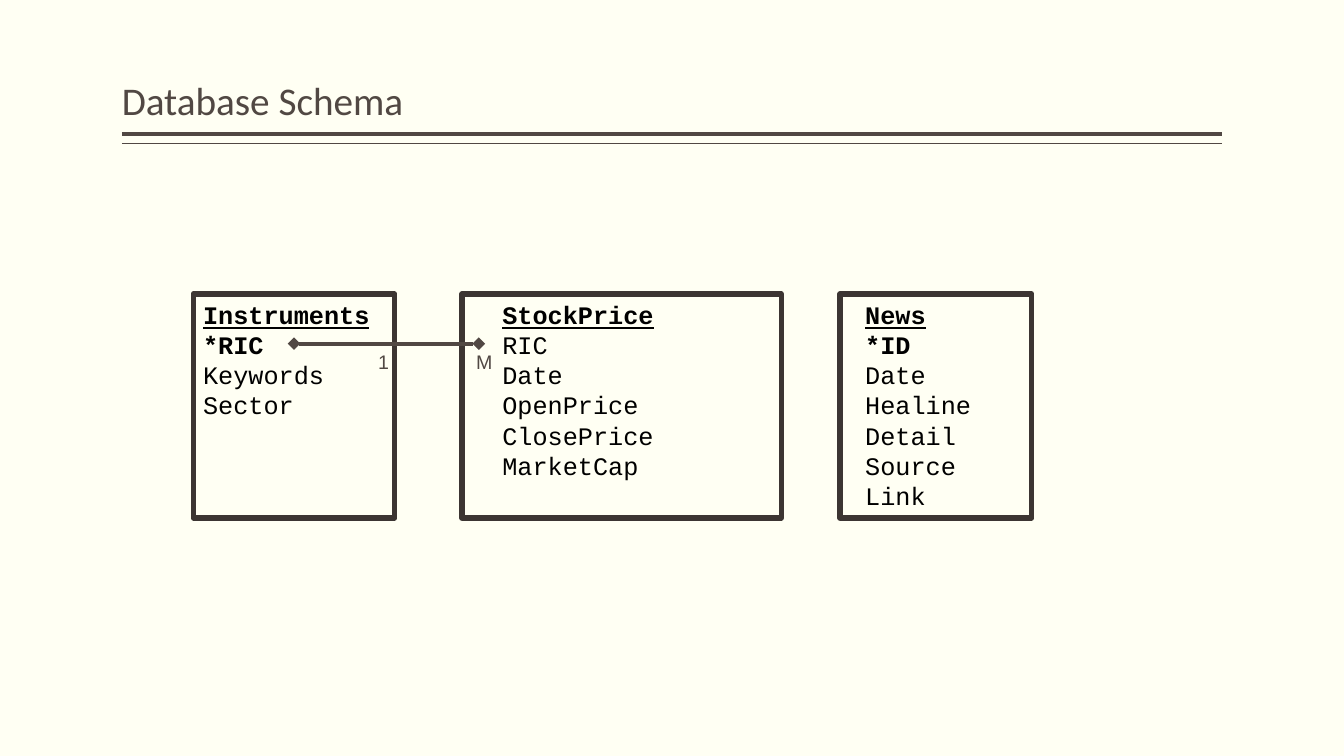
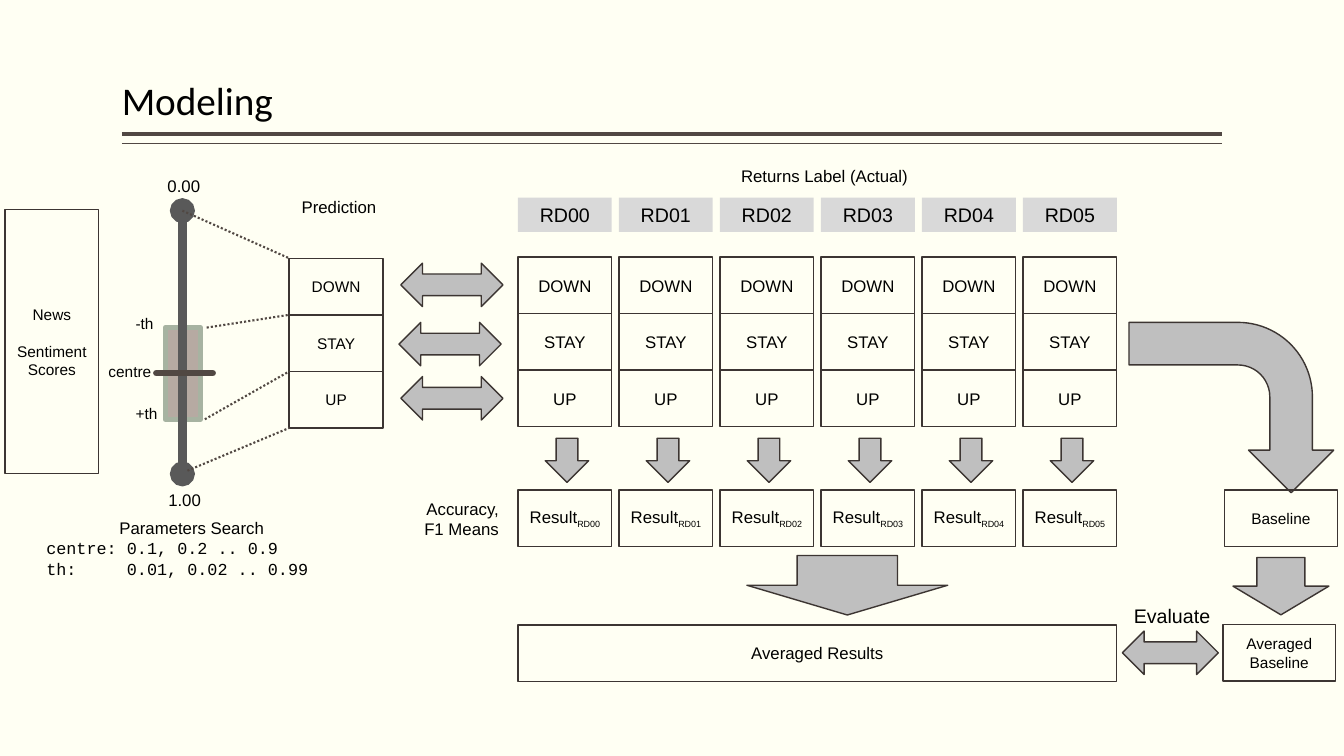
from dataclasses import dataclass

from lxml import etree
from pptx import Presentation
from pptx.dml.color import RGBColor
from pptx.enum.dml import MSO_LINE
from pptx.enum.shapes import MSO_CONNECTOR, MSO_SHAPE
from pptx.enum.text import MSO_ANCHOR, PP_ALIGN
from pptx.oxml.ns import qn
from pptx.util import Pt

RECT = MSO_SHAPE.RECTANGLE
DOWN_ARROW = MSO_SHAPE.DOWN_ARROW
TWO_WAY_ARROW = MSO_SHAPE.LEFT_RIGHT_ARROW
BENT_ARROW = MSO_SHAPE.BENT_ARROW
STRAIGHT = MSO_CONNECTOR.STRAIGHT
DOTTED = MSO_LINE.ROUND_DOT
TOP, MIDDLE, BOTTOM = MSO_ANCHOR.TOP, MSO_ANCHOR.MIDDLE, MSO_ANCHOR.BOTTOM
LEFT, CENTER, RIGHT = PP_ALIGN.LEFT, PP_ALIGN.CENTER, PP_ALIGN.RIGHT


@dataclass(frozen=True)
class Theme:
    paper: str = "FFFFF3"
    ink: str = "514843"
    outline: str = "3C3532"
    text: str = "000000"
    arrow: str = "BFBFBF"
    header: str = "D9D9D9"
    axis: str = "595959"
    band: str = "B6AAA2"
    band_edge: str = "A7B3A1"
    title_font: str = "Calibri"
    body_font: str = "Arial"
    code_font: str = "Courier New"
    title_size: float = 28
    code_size: float = 18
    large: float = 14
    normal: float = 12
    small: float = 11
    thin: float = 1
    dotted: float = 1.5
    thick: float = 3
    frame: float = 3.75
    mark: float = 4.5
    axis_width: float = 6


T = Theme()
CLASSES = ("DOWN", "STAY", "UP")
PERIODS = [f"RD{i:02d}" for i in range(6)]
CELL_W, CELL_H, PITCH = 67, 40.4, 72.15


def rgb(value):
    return RGBColor.from_string(value)


def set_values(obj, values):
    for name, value in values.items():
        setattr(obj, name, value)


def write(sp, paragraphs, size=T.normal, font=T.body_font, color=T.text,
          align=CENTER, anchor=MIDDLE, **frame):
    """Fill a shape; each paragraph is a string or a list of (text, font values)."""
    tf = sp.text_frame
    set_values(tf, {"word_wrap": True, "vertical_anchor": anchor, **frame})
    for i, runs in enumerate(paragraphs):
        p = tf.add_paragraph() if i else tf.paragraphs[0]
        p.alignment = align
        for text, values in [(runs, {})] if isinstance(runs, str) else runs:
            r = p.add_run()
            r.text = text
            set_values(r.font, {"name": font, "size": Pt(size), **values})
            r.font.color.rgb = rgb(color)
    return tf


def add_shape(slide, kind, x, y, w, h, fill=None, line=T.outline, width=T.thin):
    sp = slide.shapes.add_shape(kind, Pt(x), Pt(y), Pt(w), Pt(h))
    sp.shadow.inherit = False
    if fill:
        sp.fill.solid()
        sp.fill.fore_color.rgb = rgb(fill)
    else:
        sp.fill.background()
    if line:
        sp.line.color.rgb = rgb(line)
        sp.line.width = Pt(width)
        etree.SubElement(sp.line._get_or_add_ln(), qn("a:round"))
    else:
        sp.line.fill.background()
    return sp


def add_box(slide, x, y, w, h, paragraphs, **text):
    sp = add_shape(slide, RECT, x, y, w, h)
    write(sp, paragraphs, **text)


def add_arrow(slide, kind, x, y, w, h):
    return add_shape(slide, kind, x, y, w, h, T.arrow)


def add_label(slide, x, y, w, h, paragraphs, anchor=TOP, **text):
    sp = slide.shapes.add_textbox(Pt(x), Pt(y), Pt(w), Pt(h))
    return write(sp, paragraphs, anchor=anchor, **text)


def add_line(slide, start, end, width, color=T.ink, dash=None, tips=None, cap=None):
    sp = slide.shapes.add_connector(STRAIGHT, *map(Pt, (*start, *end)))
    sp.line.color.rgb = rgb(color)
    sp.line.width = Pt(width)
    if dash:
        sp.line.dash_style = dash
    ln = sp.line._get_or_add_ln()
    if cap:
        ln.set("cap", cap)
    if tips:
        for tag in ("a:headEnd", "a:tailEnd"):
            etree.SubElement(ln, qn(tag), type=tips)
    etree.SubElement(sp._element.spPr, qn("a:effectLst"))


def add_slide(prs, title, color):
    slide = prs.slides.add_slide(prs.slide_layouts[6])
    x, w = 87, 786
    for y, width in ((95.7, T.thick), (102.7, T.thin)):
        add_line(slide, (x, y), (x + w, y), width)
    tf = add_label(slide, x, 6, w, 86, [title], size=T.title_size, font=T.title_font,
                   color=color, align=LEFT, anchor=BOTTOM, margin_left=0, margin_right=0)
    tf.paragraphs[0].line_spacing = 0.9
    return slide


def draw_entity(slide, x, y, w, h, name, fields, indent):
    """Draw one table of the schema; a starred field is its key."""
    sp = add_shape(slide, RECT, x, y, w, h, width=T.frame)
    rows = [[(name, {"bold": True, "underline": True})]]
    rows += [[(field, {"bold": field.startswith("*")})] for field in fields]
    write(sp, rows, T.code_size, T.code_font, align=LEFT, anchor=TOP,
          margin_left=Pt(7.2 + indent))


def draw_relation(slide, x, y, w):
    add_line(slide, (x, y), (x + w, y), T.thick, tips="diamond")
    for dx, text in ((52, "1"), (w - 9, "M")):
        add_label(slide, x + dx, y + 1, 24, 24, [text], size=T.large, color=T.ink)


def build_schema(prs):
    slide = add_slide(prs, "Database Schema", T.ink)
    y, h, char = 210, 160, 10.8
    for x, w, indent, name, fields in (
        (330, 228, 2 * char, "StockPrice",
         ("RIC", "Date", "OpenPrice", "ClosePrice", "MarketCap")),
        (138, 144, 0, "Instruments", ("*RIC", "Keywords", "Sector")),
        (600, 137, char, "News",
         ("*ID", "Date", "Healine", "Detail", "Source", "Link")),
    ):
        draw_entity(slide, x, y, w, h, name, fields, indent)
    draw_relation(slide, 210, y + 35.5, 132)


def draw_classes(slide, x, y, size):
    for i, name in enumerate(CLASSES):
        add_box(slide, x, y + i * CELL_H, CELL_W, CELL_H, [name], size=size)


def draw_scores(slide, x, y, h):
    sp = add_shape(slide, RECT, x, y, CELL_W, h)
    tf = write(sp, ["News", "Sentiment Scores"], T.small)
    tf.paragraphs[1].space_before = Pt(13)


def draw_scale(slide, x, y, h):
    """Draw the score axis at x with its threshold band, marks and labels."""
    centre = y + 116
    add_shape(slide, RECT, x - 12.2, y + 83.5, 25, 65.5, T.band, T.band_edge, T.frame)
    add_line(slide, (x, y), (x, y + h), T.axis_width, T.axis, tips="oval")
    add_line(slide, (x - 18.7, centre), (x + 21.7, centre), T.mark, cap="rnd")
    for text, dx, dy, w, size in (
        ("0.00", -19, -28.8, 40, T.normal),
        ("1.00", -19.4, h + 8, 42, T.normal),
        ("-th", -44.5, 70.5, 35, T.small),
        ("centre", -64, 104.5, 53, T.small),
        ("+th", -43.2, 134.6, 35, T.small),
    ):
        add_label(slide, x + dx, y + dy, w, 21, [text], size=size)


def draw_prediction(slide, x, y, axis, top):
    """Draw the predicted classes and the dotted lines from the axis to them."""
    add_label(slide, x, y - 47.5, 71, 21.6, ["Prediction"])
    draw_classes(slide, x, y, T.small)
    for i, (dx, dy) in enumerate(((0, 0), (17.3, 83.5), (16, 149), (3.6, 185.7))):
        add_line(slide, (axis + dx, top + dy), (x, y + i * CELL_H), T.dotted, dash=DOTTED)


def draw_search(slide, x, y, w, h):
    code = {"name": T.code_font}
    tf = add_label(slide, x, y, w, h, [
        "Parameters Search",
        [("centre:\t0.1, 0.2 .. 0.9", code)],
        [("th:\t0.01, 0.02 .. 0.99", code)],
    ])
    for p in tf.paragraphs[1:]:
        p.alignment = LEFT
        tabs = etree.SubElement(p._p.get_or_add_pPr(), qn("a:tabLst"))
        etree.SubElement(tabs, qn("a:tab"), pos=str(Pt(57.6)), algn="l")


def draw_returns(slide, x, y):
    """Draw the actual labels per period, their results and the average."""
    w = CELL_W + PITCH * (len(PERIODS) - 1)
    add_label(slide, x - 13, y - 26, 464, 21.6, ["Returns Label (Actual)"])
    for i, period in enumerate(PERIODS):
        left = x + i * PITCH
        sp = add_shape(slide, RECT, left, y, CELL_W, 24.4, T.header, None)
        write(sp, [period], T.large)
        draw_classes(slide, left, y + 42.4, T.normal)
        add_arrow(slide, DOWN_ARROW, left + 19.5, y + 171.8, 31, 31.6)
        sp = add_shape(slide, RECT, left, y + 208.8, CELL_W, CELL_H)
        tf = write(sp, [[("Result", {}), (period, {"size": Pt(T.small)})]])
        tf.paragraphs[0].runs[1].font._element.set("baseline", "-25000")
    add_label(slide, x - 83.5, y + 211.6, 77, 36, ["Accuracy, F1 Means"], align=RIGHT)
    add_arrow(slide, DOWN_ARROW, x + 163.5, y + 255.6, 143.5, 42.5)
    add_box(slide, x, y + 305.2, w, CELL_H, ["Averaged Results"])


def draw_baseline(slide, x, y, w):
    sp = add_arrow(slide, BENT_ARROW, x - 56, y - 132, 121.7, 146.2)
    sp.rotation = 90
    add_arrow(slide, DOWN_ARROW, x + 6, y + 48.2, 68.5, 41)
    for dx, dy, text in ((0, 0, "Baseline"), (-1.2, 96, "Averaged Baseline")):
        add_box(slide, x + dx, y + dy, w, CELL_H, [text], size=T.small)
    add_label(slide, x - 80, y + 77.7, 85, 24, ["Evaluate"], size=T.large)
    add_arrow(slide, TWO_WAY_ARROW, x - 73, y + 100.8, 68.5, 31)


def build_modeling(prs):
    slide = add_slide(prs, "Modeling", T.text)
    axis, top = 130.3, 150.5
    draw_scores(slide, 3.6, 149.8, 188.6)
    draw_scale(slide, axis, top, 188)
    draw_prediction(slide, 206.6, 184.5, axis, top)
    draw_search(slide, 26, 366.5, 222, 51)
    for x, y in ((286.3, 188), (285, 230.3), (286.3, 269)):
        add_arrow(slide, TWO_WAY_ARROW, x, y, 73, 31)
    draw_returns(slide, 370, 141.2)
    draw_baseline(slide, 874.7, 350, 80.6)


def main():
    prs = Presentation()
    prs.slide_width, prs.slide_height = Pt(960), Pt(540)
    fill = prs.slide_master.background.fill
    fill.solid()
    fill.fore_color.rgb = rgb(T.paper)
    build_schema(prs)
    build_modeling(prs)
    prs.save("out.pptx")


if __name__ == "__main__":
    main()
